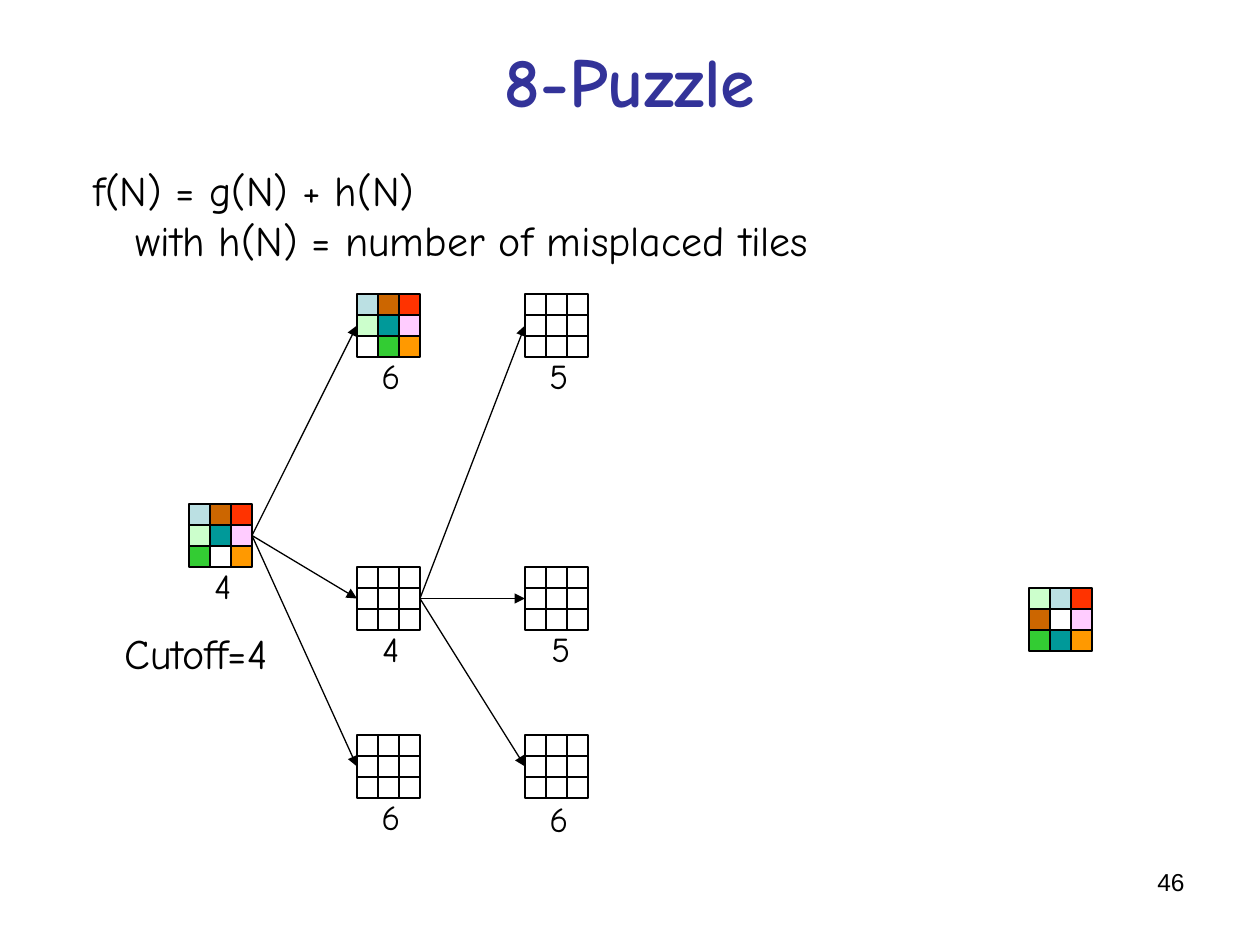
from lxml import etree
from pptx import Presentation
from pptx.dml.color import RGBColor
from pptx.enum.shapes import MSO_CONNECTOR, MSO_SHAPE
from pptx.enum.text import MSO_ANCHOR, MSO_AUTO_SIZE, PP_ALIGN
from pptx.oxml.ns import qn
from pptx.util import Emu, Pt

RECT = MSO_SHAPE.RECTANGLE
STRAIGHT = MSO_CONNECTOR.STRAIGHT
LEFT, CENTER, RIGHT = PP_ALIGN.LEFT, PP_ALIGN.CENTER, PP_ALIGN.RIGHT
TOP, MIDDLE = MSO_ANCHOR.TOP, MSO_ANCHOR.MIDDLE
FIT = MSO_AUTO_SIZE.SHAPE_TO_FIT_TEXT
PX = 914400 / 126
CELL = 21
LEFT_SIDE, RIGHT_SIDE = 1, 3
FONT = "Comic Neue"

# One letter for each tile; "." is the empty square
COLORS = {
    "black": "000000", "title": "333399", ".": "FFFFFF",
    "a": "BBE0E3", "b": "CC6600", "c": "FF3300", "d": "CCFFCC",
    "e": "009999", "f": "FFCCFF", "g": "33CC33", "h": "FF9900",
}
BLANK = "." * 9


def px(n):
    return Emu(round(n * PX))


def add_text(lines, x, y, w, h, size, font=FONT, color="black", bold=False,
             align=LEFT, anchor=TOP, wrap=False):
    s = slide.shapes.add_textbox(px(x), px(y), px(w), px(h))
    tf = s.text_frame
    tf.word_wrap = wrap
    tf.vertical_anchor = anchor
    if not wrap:
        tf.auto_size = FIT
    tf.text = "\n".join(lines)
    for p in tf.paragraphs:
        p.alignment = align
        p.font.size = Pt(size)
        p.font.name = font
        p.font.bold = bold
        p.font.color.rgb = RGBColor.from_string(COLORS[color])
    return tf


prs = Presentation()
prs.slide_width, prs.slide_height = px(1260), px(945)
slide = prs.slides.add_slide(prs.slide_layouts[6])

# Title, formula, cutoff and slide number
add_text(["8-Puzzle"], 63, 0, 1134, 158, 40, color="title", bold=True,
         align=CENTER, anchor=MIDDLE, wrap=True)
tf = add_text(["f(N) = g(N) + h(N)", "with h(N) = number of misplaced tiles"],
              81, 158, 740, 113, 24)
tf.paragraphs[1]._p.get_or_add_pPr().set("marL", str(px(42)))
add_text(["Cutoff=4"], 112, 621, 170, 63, 24)
add_text(["46"], 903, 861, 294, 65, 14, font="Arial", align=RIGHT, wrap=True)

# Boards: name, left, top, tiles by row, value, offset of the value
boards = [
    ("root", 189, 504, "abcdefg.h", "4", 13, 54),
    ("up", 357, 294, "abcdef.gh", "6", 12, 54),
    ("mid", 357, 567, BLANK, "4", 13, 54),
    ("down", 357, 735, BLANK, "6", 12, 54),
    ("mid_up", 525, 294, BLANK, "5", 12, 54),
    ("mid_mid", 525, 567, BLANK, "5", 14, 54),
    ("mid_down", 525, 735, BLANK, "6", 12, 56),
    ("goal", 1029, 588, "dacb.fgeh", None, 0, 0),
]
cells = {}
for name, x, y, tiles, value, dx, dy in boards:
    if value:
        add_text([value], x + dx, y + dy, 44, 55, 20)
    cells[name] = []
    for i, tile in enumerate(tiles):
        row, col = divmod(i, 3)
        s = slide.shapes.add_shape(RECT, px(x + col * CELL), px(y + row * CELL),
                                   px(CELL), px(CELL))
        s.shadow.inherit = False
        s.fill.solid()
        s.fill.fore_color.rgb = RGBColor.from_string(COLORS[tile])
        s.line.color.rgb = RGBColor.from_string(COLORS["black"])
        s.line.width = Pt(0.75)
        cells[name].append(s)

# Arrows from the middle row of each parent to that of its children
edges = [("root", "up"), ("root", "mid"), ("root", "down"),
         ("mid", "mid_up"), ("mid", "mid_mid"), ("mid", "mid_down")]
for parent, child in edges:
    s = slide.shapes.add_connector(STRAIGHT, 0, 0, 0, 0)
    s.begin_connect(cells[parent][5], RIGHT_SIDE)
    s.end_connect(cells[child][3], LEFT_SIDE)
    s.line.color.rgb = RGBColor.from_string(COLORS["black"])
    s.line.width = Pt(0.75)
    etree.SubElement(s.line._get_or_add_ln(), qn("a:tailEnd"), type="triangle")
    etree.SubElement(s._element.spPr, qn("a:effectLst"))

prs.save("out.pptx")
